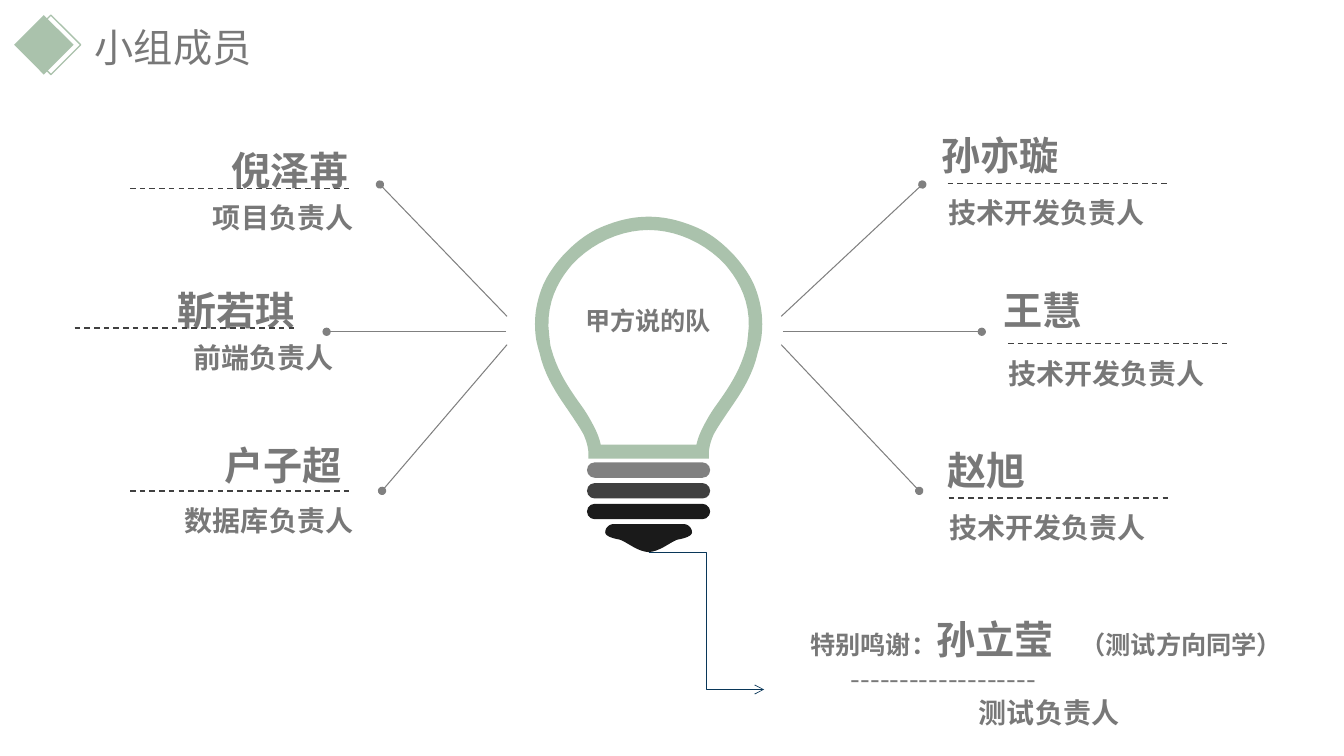
"""Build the team members slide: a light bulb with six members around it."""
from dataclasses import dataclass
from typing import Optional

from lxml import etree
from pptx import Presentation
from pptx.dml.color import RGBColor
from pptx.enum.dml import MSO_LINE
from pptx.enum.shapes import MSO_CONNECTOR, MSO_SHAPE
from pptx.enum.text import MSO_ANCHOR, MSO_AUTO_SIZE, PP_ALIGN
from pptx.oxml.ns import qn
from pptx.shapes.autoshape import Shape
from pptx.shapes.connector import Connector
from pptx.slide import Slide
from pptx.util import Pt

DASH = MSO_LINE.DASH
STRAIGHT, ELBOW = MSO_CONNECTOR.STRAIGHT, MSO_CONNECTOR.ELBOW
DIAMOND, ROUNDED = MSO_SHAPE.DIAMOND, MSO_SHAPE.ROUNDED_RECTANGLE
TOP, NO_FIT = MSO_ANCHOR.TOP, MSO_AUTO_SIZE.NONE
LEFT, CENTER, RIGHT = PP_ALIGN.LEFT, PP_ALIGN.CENTER, PP_ALIGN.RIGHT

FONT = "Noto Sans CJK SC"
HUES = {"text": "787878", "green": "AAC2AC", "gray": "808080",
        "dark": "404040", "black": "1A1A1A", "navy": "093759"}

Point = tuple[float, float]
Curve = tuple[Point, ...]

AXIS = 463.3
RULE = 159.6
OUTER: list[Curve] = [
    ((0, 0),),
    ((12, 0), (23.5, 3), (35, 8)),
    ((45, 12.5), (53.5, 19.5), (61, 27.5)),
    ((69, 36.5), (74.5, 45), (77.5, 54.5)),
    ((81, 65), (82, 75.5), (80.5, 86.5)),
    ((80, 90), (79, 93.5), (78, 97)),
    ((74, 115), (64.5, 128), (57, 139)),
    ((53, 145), (49.5, 150), (46.5, 155.5)),
    ((44.5, 160), (43.5, 163.5), (43, 168)),
    ((43, 172.8),)]
INNER: list[Curve] = [
    ((0, 9.5),),
    ((20, 9.5), (40.5, 19), (54.5, 34)),
    ((64.5, 45.5), (74, 62), (71, 85)),
    ((70.5, 88.5), (70.5, 91.5), (69.5, 94.5)),
    ((65, 111), (56.5, 123), (49.5, 133)),
    ((45, 139), (41.5, 145), (38.5, 151)),
    ((36.5, 155), (35, 159), (34.2, 162.8))]
FOOT: list[Curve] = [
    ((0, 0),),
    ((25, 0),),
    ((28.5, 0), (31, 3), (31, 5.8)),
    ((31, 8.5), (26, 10), (22, 10.8)),
    ((17.5, 11), (9, 19.5), (0, 20))]


@dataclass(frozen=True)
class Member:
    """A person, with the places of name, role, rule and ray."""
    name: str
    role: str
    spot: Point
    rule: Point
    role_left: float
    start: Point
    tip: Point
    right: bool


@dataclass(frozen=True)
class Piece:
    """A run of text with its size and weight."""
    text: str
    size: float
    bold: bool = True


MEMBERS = [
    Member("孙亦璇", "技术开发负责人", (665.3, 90), (676.8, 131), 658.8,
           (558, 226), (658.8, 131.8), True),
    Member("王慧", "技术开发负责人", (709.9, 201), (720, 245.5), 701.3,
           (559.3, 237), (701.3, 237), True),
    Member("赵旭", "技术开发负责人", (669.6, 315.4), (677.6, 355.7), 659.5,
           (558, 246.2), (656.6, 350.6), True),
    Member("倪泽苒", "项目负责人", (157, 100.8), (92.9, 134.6), 81.4,
           (362.2, 226), (271.4, 131.8), False),
    Member("靳若琪", "前端负责人", (118.1, 201), (53.3, 234.4), 67.7,
           (361.5, 237), (233.3, 237), False),
    Member("户子超", "数据库负责人", (151.9, 311.8), (92.9, 350.6), 81.4,
           (362.2, 246.2), (272.9, 350.6), False)]


def hue(key: str) -> RGBColor:
    """Look up a colour by name."""
    return RGBColor.from_string(HUES[key])


def write(para, pieces: list[Piece], align=LEFT) -> None:
    """Add the pieces to a paragraph as styled runs."""
    para.alignment = align
    for piece in pieces:
        run = para.add_run()
        run.text = piece.text
        font = run.font
        font.size, font.bold, font.name = Pt(piece.size), piece.bold, FONT
        font.color.rgb = hue("text")
        etree.SubElement(run._r.get_or_add_rPr(), qn("a:ea"), typeface=FONT)


def add_text(slide: Slide, box: tuple[float, float, float, float],
             pieces: list[Piece], align=LEFT, wrap: bool = True) -> Shape:
    """Add a text box with one paragraph."""
    shape = slide.shapes.add_textbox(*map(Pt, box))
    shape.text_frame.word_wrap = wrap
    write(shape.text_frame.paragraphs[0], pieces, align)
    return shape


def add_line(slide: Slide, start: Point, end: Point, color: str, width: float,
             tail: Optional[str] = None, kind=STRAIGHT) -> Connector:
    """Add a flat connector, with an end mark if one is named."""
    line = slide.shapes.add_connector(kind, *map(Pt, start + end))
    line.line.color.rgb, line.line.width = hue(color), Pt(width)
    if tail:
        etree.SubElement(line.line._ln, qn("a:tailEnd"), type=tail)
    etree.SubElement(line._element.spPr, qn("a:effectLst"))
    return line


def paint(shape: Shape, color: str) -> None:
    """Give a shape a plain fill with no line or shadow."""
    shape.shadow.inherit = False
    shape.fill.solid()
    shape.fill.fore_color.rgb = hue(color)
    shape.line.fill.background()


def trace(curves: list[Curve], top: float) -> list[Point]:
    """Sample half an outline, then mirror it on the bulb's axis."""
    half = [curves[0][0]]
    for curve in curves[1:]:
        if len(curve) == 1:
            half.append(curve[0])
            continue
        knots = (half[-1],) + curve
        for step in range(1, 11):
            t = step / 10
            u = 1 - t
            parts = (u ** 3, 3 * u * u * t, 3 * u * t * t, t ** 3)
            half.append((sum(w * x for w, (x, _) in zip(parts, knots)),
                         sum(w * y for w, (_, y) in zip(parts, knots))))
    whole = half + [(-x, y) for x, y in reversed(half)]
    return [(Pt(AXIS + x), Pt(top + y)) for x, y in whole]


def add_form(slide: Slide, rings: list[list[Point]], color: str) -> None:
    """Draw closed rings as one filled shape."""
    form = slide.shapes.build_freeform(*rings[0][0])
    for place, ring in enumerate(rings):
        if place:
            form.move_to(*ring[0])
        form.add_line_segments(ring[1:], close=True)
    paint(form.convert_to_shape(), color)


def add_title(slide: Slide) -> None:
    """Set the title beside its two diamonds."""
    for left, filled in ((10.1, True), (15.1, False)):
        mark = slide.shapes.add_shape(DIAMOND, Pt(left), Pt(10.8),
                                      Pt(42.5), Pt(42.5))
        paint(mark, "green")
        if not filled:
            mark.fill.background()
            mark.line.color.rgb, mark.line.width = hue("green"), Pt(1)
    title = slide.shapes.title
    title.left, title.top = Pt(60.5), Pt(13)
    title.width, title.height = Pt(127.5), Pt(41)
    frame = title.text_frame
    frame.word_wrap, frame.auto_size = False, NO_FIT
    frame.vertical_anchor = TOP
    write(frame.paragraphs[0], [Piece("小组成员", 28, False)])


def add_bulb(slide: Slide) -> None:
    """Draw the bulb, its screw bars, its foot and the team name."""
    add_form(slide, [trace(OUTER, 154.8), trace(INNER, 154.8)], "green")
    for row, color in enumerate(("gray", "dark", "black")):
        bar = slide.shapes.add_shape(ROUNDED, Pt(AXIS - 44),
                                     Pt(330.3 + 14.8 * row), Pt(88), Pt(11))
        bar.adjustments[0] = 0.5
        paint(bar, color)
    add_form(slide, [trace(FOOT, 374.4)], "black")
    add_text(slide, (382.3, 214.6, 161.3, 29), [Piece("甲方说的队", 18)], CENTER)


def add_member(slide: Slide, member: Member) -> None:
    """Draw the ray, name, rule and role of a member."""
    add_line(slide, member.start, member.tip, "gray", 0.75, "oval")
    width = 28 * len(member.name) + 15.4
    add_text(slide, (*member.spot, width, 41), [Piece(member.name, 28)],
             LEFT if member.right else RIGHT, False)
    left, top = member.rule
    add_text(slide, (member.role_left, top + 5.3, 178, 31.5),
             [Piece(member.role, 20)], CENTER if member.right else RIGHT)
    rule = add_line(slide, member.rule, (left + RULE, top), "dark", 1)
    rule.line.dash_style = DASH


def add_thanks(slide: Slide) -> None:
    """Write the thanks and join them to the bulb by an arrow."""
    box = add_text(slide, (545.8, 435.6, 404, 113.8),
                   [Piece("特别鸣谢：", 18), Piece("孙立莹", 28),
                    Piece("\t", 18), Piece("（测试方向同学）", 18)])
    frame = box.text_frame
    frame.margin_left, frame.margin_right = Pt(33), Pt(0)
    stops = etree.Element(qn("a:tabLst"))
    etree.SubElement(stops, qn("a:tab"), pos=str(Pt(193)), algn="l")
    frame.paragraphs[0]._p.get_or_add_pPr().append(stops)
    for piece, indent in ((Piece("-------------------", 20, False), 29),
                          (Piece("测试负责人", 20), 120.5)):
        para = frame.add_paragraph()
        para._p.get_or_add_pPr().set("marL", str(Pt(indent)))
        write(para, [piece])
    arrow = add_line(slide, (AXIS, 394.5), (545.8, 492.5), "navy", 0.5,
                     "arrow", ELBOW)
    arrow.end_connect(box, 1)


def main() -> None:
    """Build and save the slide."""
    deck = Presentation()
    deck.slide_width, deck.slide_height = Pt(960), Pt(540)
    slide = deck.slides.add_slide(deck.slide_layouts[5])
    add_title(slide)
    add_bulb(slide)
    for member in MEMBERS:
        add_member(slide, member)
    add_thanks(slide)
    deck.save("out.pptx")


if __name__ == "__main__":
    main()
